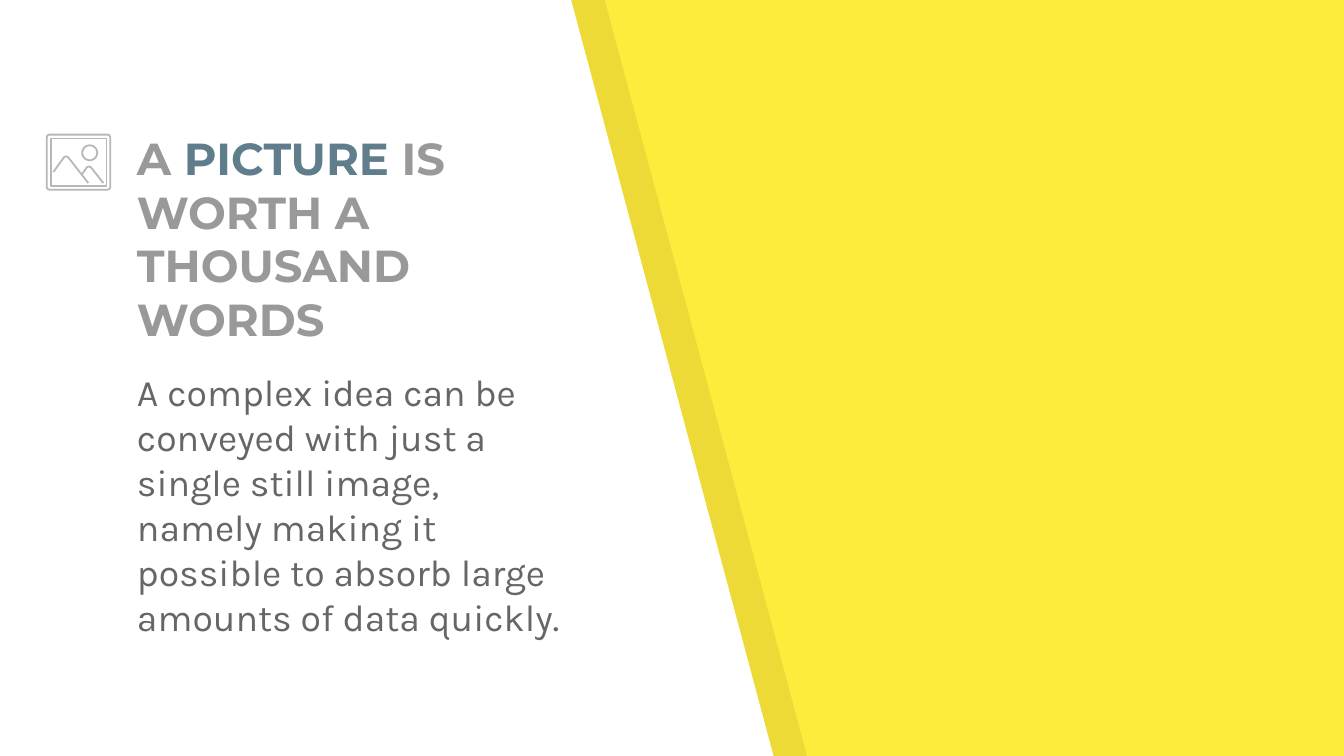
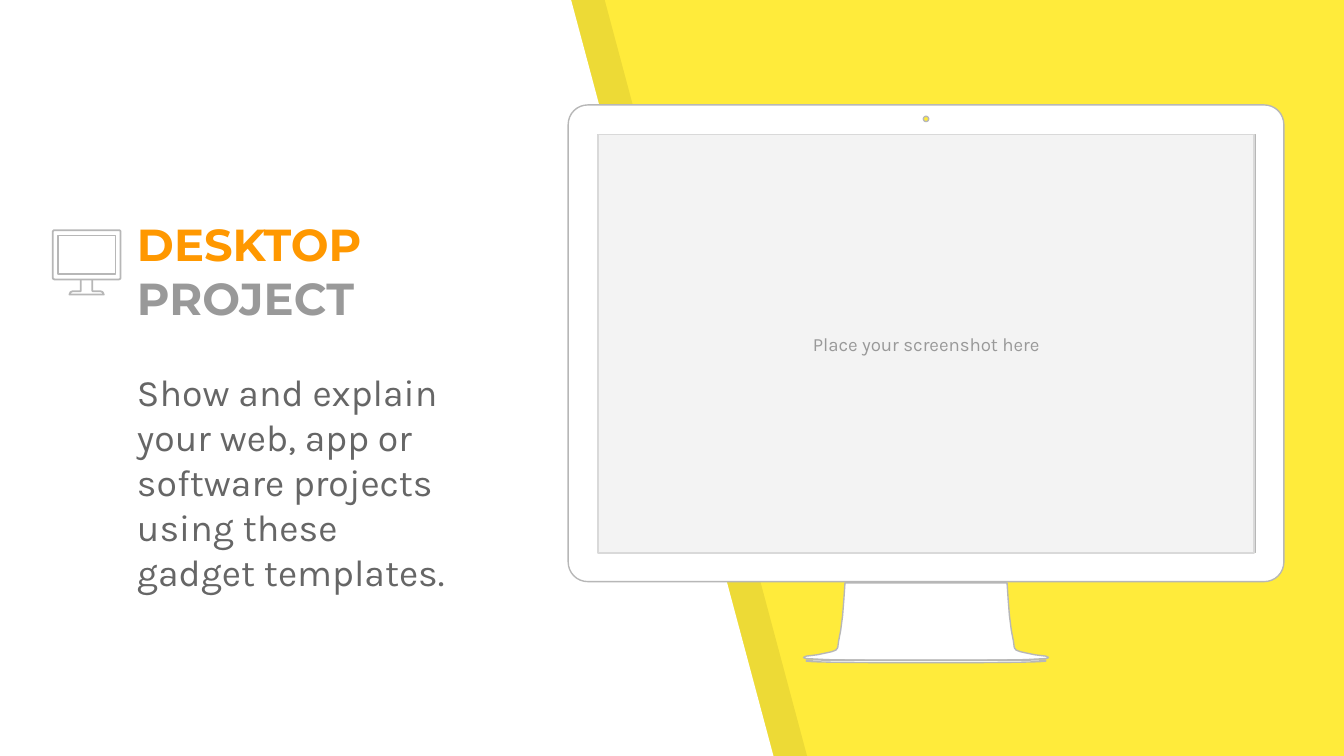
import math

import lxml.etree
import pptx
import pptx.dml.color
import pptx.enum.shapes
import pptx.enum.text
import pptx.oxml.ns
import pptx.util

Pt = pptx.util.Pt
RGBColor = pptx.dml.color.RGBColor
Anchor = pptx.enum.text.MSO_ANCHOR
Align = pptx.enum.text.PP_ALIGN
qn = pptx.oxml.ns.qn

YELLOW = RGBColor(0xFF, 0xEB, 0x3B)
WHITE = RGBColor(0xFF, 0xFF, 0xFF)
BLACK = RGBColor(0x00, 0x00, 0x00)
BLUE_GRAY = RGBColor(0x60, 0x7D, 0x8B)
ORANGE = RGBColor(0xFF, 0x98, 0x00)
TITLE_GRAY = RGBColor(0x99, 0x99, 0x99)
BODY_GRAY = RGBColor(0x66, 0x66, 0x66)
LINE_GRAY = RGBColor(0xB7, 0xB7, 0xB7)
SCREEN_FILL = RGBColor(0xF3, 0xF3, 0xF3)
SCREEN_LINE = RGBColor(0xD9, 0xD9, 0xD9)

TITLE_FONT = "Montserrat"
BODY_FONT = "Karla"
TEXT_LEFT = 66.2
INSET = 7.2
ICON_LINE = 0.96


def arc(cx, cy, radius, start, sweep, steps):
    angles = [math.radians(start + sweep * i / steps) for i in range(steps + 1)]
    return [(cx + radius * math.cos(a), cy + radius * math.sin(a)) for a in angles]


def circle(cx, cy, radius):
    return arc(cx, cy, radius, 0, 360, 32)


def rectangle(x, y, width, height):
    return [(x, y), (x + width, y), (x + width, y + height), (x, y + height)]


def rounded(x, y, width, height, radius):
    inner = rectangle(x + radius, y + radius, width - 2 * radius, height - 2 * radius)
    points = []
    for number, (cx, cy) in enumerate(inner):
        points += arc(cx, cy, radius, 180 + 90 * number, 90, 8)
    return points


def mirrored(center, half):
    """Complete a right half, given as (offset from center, y), with its left half."""
    right = [(center + dx, y) for dx, y in half]
    left = [(center - dx, y) for dx, y in reversed(half)]
    return right + left


class SlideWriter:
    def __init__(self, deck):
        self.deck = deck
        self.layout = deck.slide_layouts[1]
        self.page = None

    def new_page(self):
        self.page = self.deck.slides.add_slide(self.layout)

    def paint(self, shape, fill=None, line=None, width=0.75):
        shape.shadow.inherit = False
        if fill is None:
            shape.fill.background()
        else:
            shape.fill.solid()
            shape.fill.fore_color.rgb = fill
        if line is None:
            shape.line.fill.background()
        else:
            shape.line.color.rgb = line
            shape.line.width = Pt(width)
        return shape

    def outline(self, contours, closed=True, **style):
        builder = None
        for contour in contours:
            points = [(Pt(x), Pt(y)) for x, y in contour]
            if builder is None:
                builder = self.page.shapes.build_freeform(*points[0])
            else:
                builder.move_to(*points[0])
            builder.add_line_segments(points[1:], close=closed)
        return self.paint(builder.convert_to_shape(), **style)

    def icon(self, closed_parts, open_parts):
        """Group line drawings; each closed part is a list of contours."""
        style = {"line": LINE_GRAY, "width": ICON_LINE}
        parts = [self.outline(contours, **style) for contours in closed_parts]
        parts += [self.outline([points], closed=False, **style) for points in open_parts]
        self.page.shapes.add_group_shape(parts)

    def shared_background(self):
        """Colour the master and put the slanted panel on the layout."""
        fill = self.deck.slide_master.background.fill
        fill.solid()
        fill.fore_color.rgb = YELLOW
        panel = [(0, -0.7), (-0.7, 406.1), (414.7, 406.1), (306, 0)]
        shade = self.outline([[(x + 18, y) for x, y in panel]], fill=BLACK)
        color = next(shade.element.iter(qn("a:srgbClr")))
        lxml.etree.SubElement(color, qn("a:alpha"), val="7000")
        front = self.outline([panel], fill=WHITE)
        for number, band in enumerate((shade, front)):
            band.element.xpath("p:nvSpPr/p:cNvPr")[0].set("id", str(100 + number))
            self.layout.shapes.element.insert(2 + number, band.element)

    def text(self, box, spans, size, font, bold=False, align=Align.LEFT, anchor=Anchor.TOP):
        frame = box.text_frame
        frame.word_wrap = True
        frame.auto_size = pptx.enum.text.MSO_AUTO_SIZE.NONE
        frame.vertical_anchor = anchor
        frame.margin_left = frame.margin_right = Pt(INSET)
        frame.margin_top = frame.margin_bottom = Pt(INSET)
        para = frame.paragraphs[0]
        para.alignment = align
        para.space_before = Pt(0)
        for words, color in spans:
            span = para.add_run()
            span.text = words
            span.font.size = Pt(size)
            span.font.name = font
            span.font.bold = bold
            span.font.color.rgb = color
        return para

    def place(self, box, x, y, width, height):
        box.left, box.top, box.width, box.height = Pt(x), Pt(y), Pt(width), Pt(height)

    def title(self, spans, top, width):
        box = self.page.shapes.title
        self.place(box, TEXT_LEFT, top, width, 38.2)
        self.text(box, spans, 24, TITLE_FONT, bold=True, anchor=Anchor.BOTTOM)

    def body(self, words, width):
        box = self.page.placeholders[1]
        self.place(box, TEXT_LEFT, 190.8, width, 177.8)
        para = self.text(box, [(words, BODY_GRAY)], 20, BODY_FONT)
        properties = para._p.get_or_add_pPr()
        properties.set("marL", "0")
        properties.set("indent", "0")
        lxml.etree.SubElement(properties, qn("a:buNone"))

    def screen(self, words, x, y, width, height):
        box = self.page.shapes.add_shape(
            pptx.enum.shapes.MSO_SHAPE.RECTANGLE, Pt(x), Pt(y), Pt(width), Pt(height))
        self.paint(box, fill=SCREEN_FILL, line=SCREEN_LINE)
        self.text(box, [(words, TITLE_GRAY)], 10, BODY_FONT,
                  align=Align.CENTER, anchor=Anchor.MIDDLE)


def picture_slide(writer):
    writer.title([("A ", TITLE_GRAY), ("PICTURE", BLUE_GRAY),
                  (" IS WORTH A THOUSAND WORDS", TITLE_GRAY)], 154.1, 208.1)
    writer.body("A complex idea can be conveyed with just a single still image, "
                "namely making it possible to absorb large amounts of data quickly.", 247.7)
    frame = rounded(25.1, 72.1, 34, 29.5, 1.5)
    mat = rectangle(27.2, 74.2, 29.8, 25.3)
    sun = circle(48.1, 81.9, 4)
    small_hill = [(43.9, 93.5), (46.6, 89.6), (47.6, 89.2), (48.7, 89.6), (55.4, 98.1)]
    large_hill = [(28.6, 92.2), (34.4, 84.2), (35.5, 83.8), (36.5, 84.2), (47.3, 98.1)]
    writer.icon([[frame], [mat], [sun]], [small_hill, large_hill])


def desktop_slide(writer):
    center = 496.1
    camera = circle(center, 63.7, 1.4)
    opening = rectangle(320.4, 72, 352.1, 224)
    case = rounded(304.4, 56.2, 383.4, 255.4, 10.5)
    stand = mirrored(center, [
        (43.4, 312.3), (44, 321.1), (44.7, 329.8), (45.7, 337.7), (46.8, 343.4),
        (47.3, 347), (48.3, 348.3), (50.4, 349.1), (52.6, 349.6), (58.3, 350.8),
        (64.1, 351.5), (65.6, 352.2), (64.6, 352.8), (53, 353.4), (41, 353.6)])
    base = mirrored(center, [
        (25, 353.7), (64, 353.6), (64.1, 354.2), (60.5, 354.5), (50, 354.8), (25, 355)])
    writer.outline([camera, opening, case, stand, base], fill=WHITE, line=LINE_GRAY)
    writer.screen("Place your screenshot here", 320.4, 72, 351.4, 224.4)
    writer.title([("DESKTOP", ORANGE), (" PROJECT", TITLE_GRAY)], 142.6, 247.7)
    writer.body("Show and explain your web, app or software projects "
                "using these gadget templates.", 183.6)
    icon_case = rounded(28.3, 123.3, 36.3, 26.4, 1)
    icon_screen = rectangle(31.1, 126.2, 30.8, 20.7)
    icon_foot = mirrored(46.4, [
        (3.1, 150), (3.1, 156), (7.4, 156), (8.6, 156.5), (9.2, 157.8)])
    writer.icon([[icon_case, icon_screen]], [icon_foot])


def main():
    deck = pptx.Presentation()
    deck.slide_width, deck.slide_height = Pt(720), Pt(405)
    writer = SlideWriter(deck)
    writer.new_page()
    writer.shared_background()
    picture_slide(writer)
    writer.new_page()
    desktop_slide(writer)
    deck.save("out.pptx")


if __name__ == "__main__":
    main()
